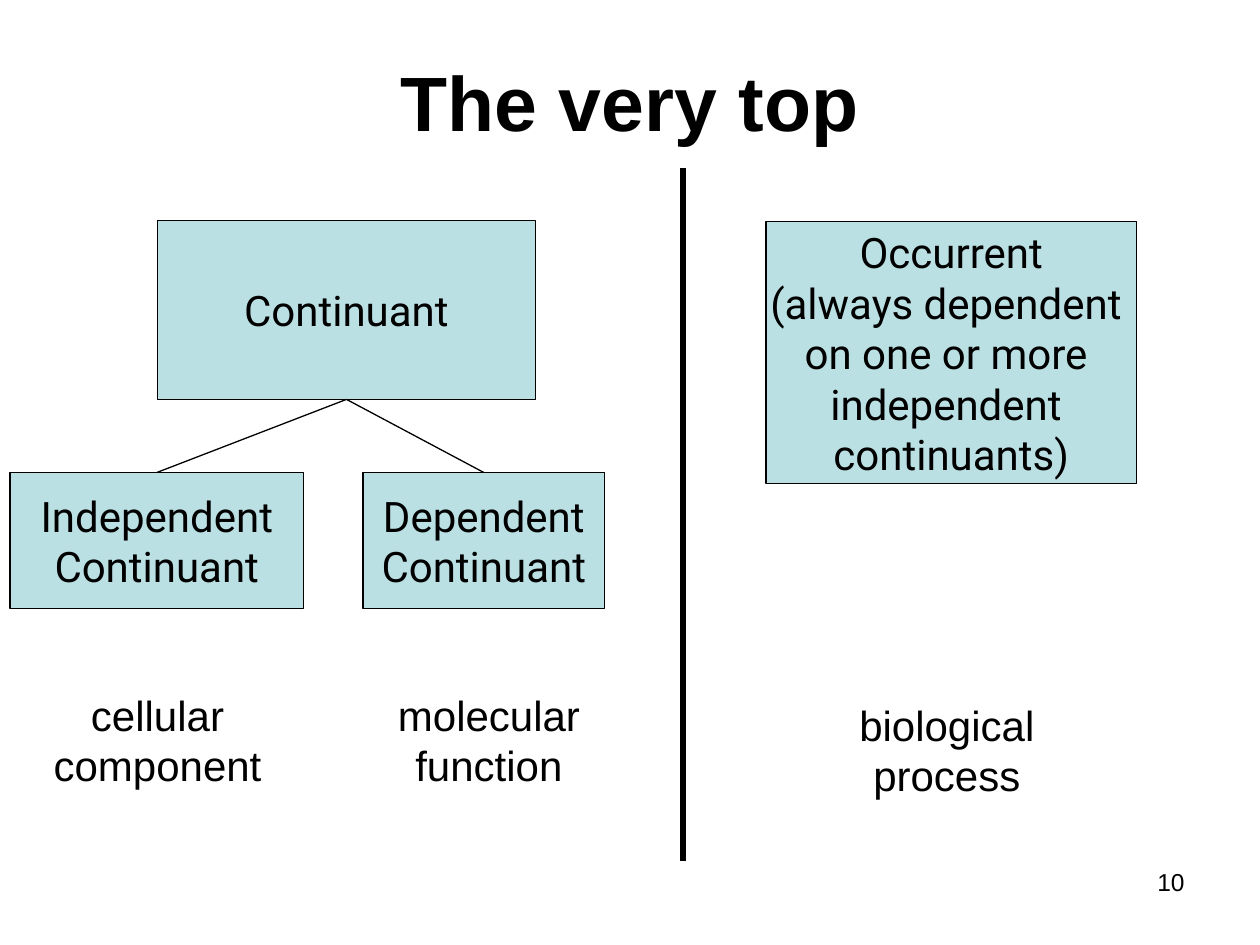
from lxml import etree
from pptx import Presentation
from pptx.dml.color import RGBColor
from pptx.enum.shapes import MSO_CONNECTOR, MSO_SHAPE
from pptx.enum.text import MSO_ANCHOR, PP_ALIGN
from pptx.oxml.ns import qn
from pptx.util import Inches, Pt

LINE, RECT = MSO_CONNECTOR.STRAIGHT, MSO_SHAPE.RECTANGLE
TOP, MIDDLE = MSO_ANCHOR.TOP, MSO_ANCHOR.MIDDLE
CENTER, RIGHT = PP_ALIGN.CENTER, PP_ALIGN.RIGHT
TOP_SITE, END_SITE = 0, 2  # top and bottom connection points of a rectangle

THEME = {
    "ink": RGBColor(0, 0, 0),
    "fill": RGBColor(0xBB, 0xE0, 0xE3),
    "sans": "Arial", "node": "Roboto",
    "title": 44, "body": 24, "page": 14,
    "thin": 0.75, "thick": 3,
}

# Content: places are left, top, width, height in inches
TITLE = ("The very top", (0, 0.42, 10, 0.75))
PAGE = ("10", (7.17, 6.83, 2.33, 0.52))
NODES = {
    "root": (["Continuant"], (1.25, 1.75, 3, 1.42)),
    "event": (["Occurrent", "(always dependent ", "on one or more ",
               "independent ", "continuants)"], (6.08, 1.76, 2.94, 2.08)),
    "free": (["Independent", "Continuant"], (0.08, 3.75, 2.33, 1.08)),
    "bound": (["Dependent", "Continuant"], (2.88, 3.75, 1.92, 1.08)),
}
LINKS = [("root", "free"), ("root", "bound")]
LABELS = [
    ("molecular function", (2.67, 5.42, 2.42, 0.9)),
    ("cellular component", (0.25, 5.42, 2, 0.9)),
    ("biological process", (6.2, 5.5, 2.63, 0.9)),
]
SPLIT = (5.42, 1.33, 5.42, 6.83)  # from x, y to x, y


def write(shape, lines, font, size, align=CENTER, anchor=TOP, bold=False,
          wrap=True):
    frame = shape.text_frame
    frame.word_wrap = wrap
    frame.vertical_anchor = anchor
    frame.text = "\n".join(lines)
    for para in frame.paragraphs:
        para.alignment = align
        para.font.name = THEME[font]
        para.font.size = Pt(THEME[size])
        para.font.bold = bold
        para.font.color.rgb = THEME["ink"]


def add_text(slide, text, place, size, **style):
    box = slide.shapes.add_textbox(*map(Inches, place))
    write(box, [text], "sans", size, **style)


def add_node(slide, lines, place):
    node = slide.shapes.add_shape(RECT, *map(Inches, place))
    node.shadow.inherit = False
    node.fill.solid()
    node.fill.fore_color.rgb = THEME["fill"]
    node.line.color.rgb = THEME["ink"]
    node.line.width = Pt(THEME["thin"])
    write(node, lines, "node", "body", anchor=MIDDLE, wrap=False)
    return node


def add_line(slide, ends, width):
    line = slide.shapes.add_connector(LINE, *map(Inches, ends))
    line.line.color.rgb = THEME["ink"]
    line.line.width = Pt(THEME[width])
    etree.SubElement(line._element.spPr, qn("a:effectLst"))
    return line


def main():
    deck = Presentation()
    deck.slide_width, deck.slide_height = Inches(10), Inches(7.5)
    slide = deck.slides.add_slide(deck.slide_layouts[6])

    # Page number and title
    add_text(slide, *PAGE, "page", align=RIGHT)
    add_text(slide, *TITLE, "title", anchor=MIDDLE, bold=True)

    # Tree of boxes and its links
    nodes = {key: add_node(slide, *node) for key, node in NODES.items()}
    for parent, child in LINKS:
        link = add_line(slide, (0, 0, 0, 0), "thin")
        link.begin_connect(nodes[parent], END_SITE)
        link.end_connect(nodes[child], TOP_SITE)

    # Divider and examples
    add_line(slide, SPLIT, "thick")
    for text, place in LABELS:
        add_text(slide, text, place, "body")

    deck.save("out.pptx")


if __name__ == "__main__":
    main()
